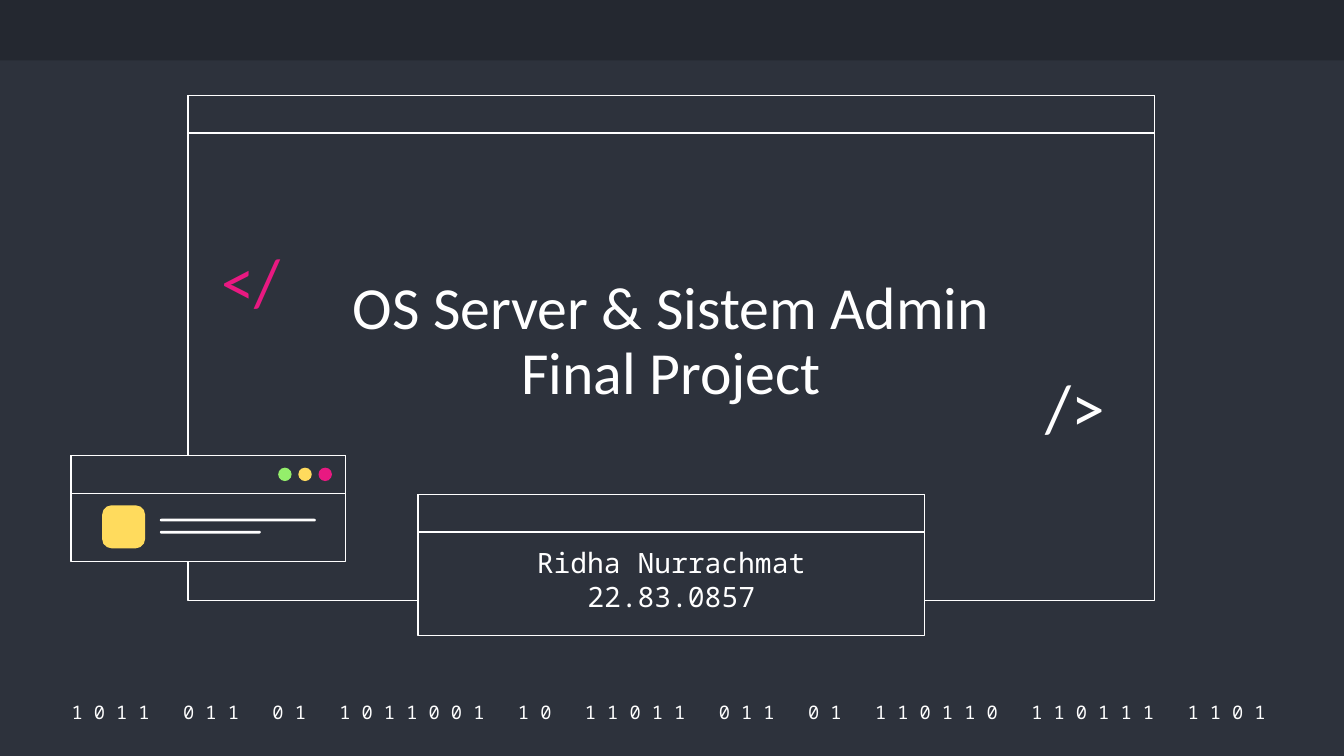
import pptx
import pptx.dml.color
import pptx.enum.shapes
import pptx.enum.text
import pptx.util

WIDTH = 10
HEIGHT = WIDTH * 9 / 16
BACKGROUND, BAND, WHITE = "2D323C", "242830", "FFFFFF"
PINK, YELLOW, GREEN = "E81981", "FFDB5D", "94EE6B"
SANS, MONO = "Calibri", "Noto Sans Mono"
TITLE_BAR = 0.28

SHAPES = pptx.enum.shapes.MSO_SHAPE
ALIGN = pptx.enum.text.PP_ALIGN
ANCHOR = pptx.enum.text.MSO_ANCHOR

BITS = "1011 011 01 1011001 10 11011 011 01 110110 110111 1101"
binary_line = "   ".join(" ".join(group) for group in BITS.split()) + " "

# Window frames: left, top, width, height
MAIN_WINDOW = (1.4, 0.71, 7.19, 3.76)
NAME_WINDOW = (3.11, 3.68, 3.77, 1.05)
SMALL_WINDOW = (0.53, 3.39, 2.04, 0.79)

# Text, box, size, font, colour, alignment, anchor, line spacing
FOOTER = (binary_line, (0.38, 5.2, 9.27, 0.2), 10, MONO, WHITE,
          ALIGN.CENTER, ANCHOR.MIDDLE, 1.0)
TEXTS = [
    ("</", (1.55, 1.79, 0.77, 0.66), 36, SANS, PINK,
     ALIGN.LEFT, ANCHOR.MIDDLE, 0.9),
    ("/>", (7.68, 2.73, 0.77, 0.66), 36, SANS, WHITE,
     ALIGN.LEFT, ANCHOR.MIDDLE, 0.9),
    ("OS Server & Sistem Admin\vFinal Project", (2.16, 1.41, 5.67, 1.72),
     32, SANS, WHITE, ALIGN.CENTER, ANCHOR.BOTTOM, 0.9),
    ("Ridha Nurrachmat\n22.83.0857", (3.33, 3.96, 3.33, 0.78),
     15, MONO, WHITE, ALIGN.CENTER, ANCHOR.TOP, 1.0),
]

DOT_COLOURS = [GREEN, YELLOW, PINK]
DOT_LEFT, DOT_TOP, DOT_SIZE, DOT_STEP = 2.07, 3.48, 0.1, 0.15
ICON = (0.76, 3.76, 0.32, 0.32)
TEXT_LINE_LEFT, TEXT_LINE_TOP, TEXT_LINE_STEP = 1.19, 3.86, 0.09
TEXT_LINE_WIDTHS = [1.16, 0.75]
TEXT_LINE_HEIGHT = 0.02


def colour(hex_string):
    return pptx.dml.color.RGBColor.from_string(hex_string)


def inches(box):
    return [pptx.util.Inches(length) for length in box]


def add_shape(slide, kind, box, fill, line=None, rounding=None):
    shape = slide.shapes.add_shape(kind, *inches(box))
    shape.shadow.inherit = False
    shape.fill.solid()
    shape.fill.fore_color.rgb = colour(fill)
    if line:
        shape.line.color.rgb = colour(line)
        shape.line.width = pptx.util.Pt(0.75)
    else:
        shape.line.fill.background()
    if rounding is not None:
        shape.adjustments[0] = rounding


def add_window(slide, box):
    """Draw a framed panel with a title bar along its top."""
    left, top, width, height = box
    for part_height in (height, TITLE_BAR):
        add_shape(slide, SHAPES.RECTANGLE, (left, top, width, part_height),
                  BACKGROUND, WHITE)


def add_text(slide, text, box, size, font, hex_string, align, anchor, spacing):
    text_frame = slide.shapes.add_textbox(*inches(box)).text_frame
    text_frame.word_wrap = True
    text_frame.vertical_anchor = anchor
    text_frame.margin_left = text_frame.margin_right = pptx.util.Inches(0.1)
    text_frame.margin_top = text_frame.margin_bottom = pptx.util.Inches(0.1)
    text_frame.text = text
    for paragraph in text_frame.paragraphs:
        paragraph.alignment = align
        paragraph.line_spacing = spacing
        for run in paragraph.runs:
            run.font.size = pptx.util.Pt(size)
            run.font.name = font
            run.font.color.rgb = colour(hex_string)


def add_small_window_content(slide):
    add_shape(slide, SHAPES.ROUNDED_RECTANGLE, ICON, YELLOW, rounding=0.22)
    for row, width in enumerate(TEXT_LINE_WIDTHS):
        top = TEXT_LINE_TOP + row * TEXT_LINE_STEP
        add_shape(slide, SHAPES.ROUNDED_RECTANGLE,
                  (TEXT_LINE_LEFT, top, width, TEXT_LINE_HEIGHT),
                  WHITE, rounding=0.5)
    for column, dot_colour in enumerate(DOT_COLOURS):
        left = DOT_LEFT + column * DOT_STEP
        add_shape(slide, SHAPES.OVAL, (left, DOT_TOP, DOT_SIZE, DOT_SIZE),
                  dot_colour)


def main():
    presentation = pptx.Presentation()
    presentation.slide_width, presentation.slide_height = inches((WIDTH, HEIGHT))
    slide = presentation.slides.add_slide(presentation.slide_layouts[6])
    slide.background.fill.solid()
    slide.background.fill.fore_color.rgb = colour(BACKGROUND)

    add_shape(slide, SHAPES.RECTANGLE, (0, 0, WIDTH, 0.45), BAND)
    add_text(slide, *FOOTER)
    add_window(slide, MAIN_WINDOW)
    add_window(slide, NAME_WINDOW)
    for text in TEXTS:
        add_text(slide, *text)
    add_window(slide, SMALL_WINDOW)
    add_small_window_content(slide)
    presentation.save("out.pptx")


if __name__ == "__main__":
    main()
